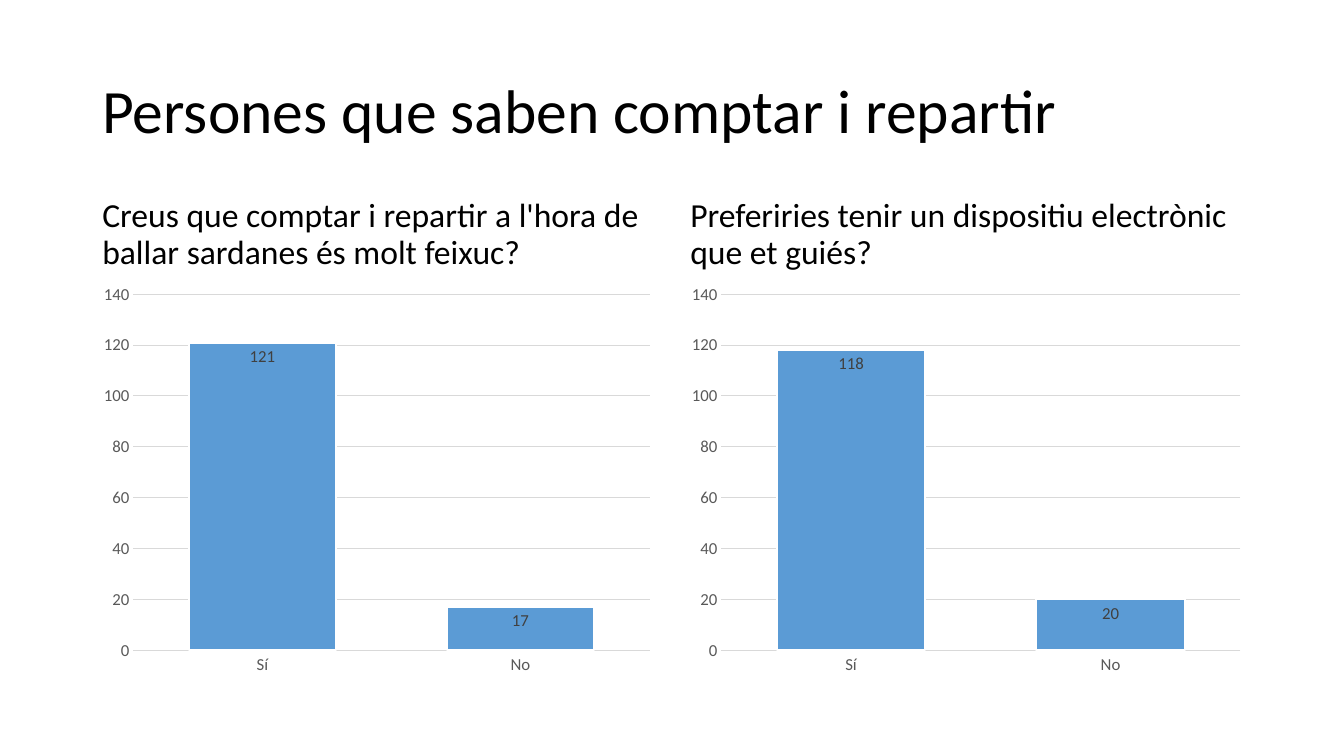
import pptx
import pptx.chart.data
import pptx.dml.color
import pptx.enum.chart
import pptx.enum.text
import pptx.util

Pt = pptx.util.Pt
RGBColor = pptx.dml.color.RGBColor
Anchor = pptx.enum.text.MSO_ANCHOR

BLACK = RGBColor(0x00, 0x00, 0x00)
WHITE = RGBColor(0xFF, 0xFF, 0xFF)
BAR_BLUE = RGBColor(0x5B, 0x9B, 0xD5)
AXIS_GREY = RGBColor(0x59, 0x59, 0x59)
LABEL_GREY = RGBColor(0x40, 0x40, 0x40)
GRID_GREY = RGBColor(0xD9, 0xD9, 0xD9)

LEFT = 66
TITLE_TOP, TITLE_HEIGHT = 28.75, 104.4
QUESTION_TOP, QUESTION_HEIGHT = 132.4, 64.9
CHART_TOP, CHART_HEIGHT = 197.25, 290.15

ANSWERS = ["Sí", "No"]
SURVEY = [
    (LEFT, 406.1, "Creus que comptar i repartir a l'hora de ballar sardanes és molt feixuc?", [121, 17]),
    (486, 408.1, "Preferiries tenir un dispositiu electrònic que et guiés?", [118, 20]),
]


class SurveySlide:
    font_name = "Calibri"

    def __init__(self, presentation):
        self.slide = presentation.slides.add_slide(presentation.slide_layouts[6])

    def style_font(self, font, size, color):
        font.name = self.font_name
        font.size = Pt(size)
        font.color.rgb = color

    def text(self, wording, left, top, width, height, size=24, color=BLACK,
             anchor=Anchor.BOTTOM, space_before=0):
        box = self.slide.shapes.add_textbox(Pt(left), Pt(top), Pt(width), Pt(height))
        frame = box.text_frame
        frame.word_wrap = True
        frame.vertical_anchor = anchor
        paragraph = frame.paragraphs[0]
        paragraph.line_spacing = 0.9
        paragraph.space_before = Pt(space_before)
        run = paragraph.add_run()
        run.text = wording
        self.style_font(run.font, size, color)

    def style_line(self, line, color, width):
        line.color.rgb = color
        line.width = Pt(width)

    def style_axes(self, chart):
        for axis in (chart.category_axis, chart.value_axis):
            axis.major_tick_mark = pptx.enum.chart.XL_TICK_MARK.NONE
            axis.minor_tick_mark = pptx.enum.chart.XL_TICK_MARK.NONE
            self.style_font(axis.tick_labels.font, 12, AXIS_GREY)
        self.style_line(chart.category_axis.format.line, GRID_GREY, 0.75)
        counts = chart.value_axis
        counts.minimum_scale = 0
        counts.maximum_scale = 140
        counts.major_unit = 20
        counts.format.line.fill.background()
        self.style_line(counts.major_gridlines.format.line, GRID_GREY, 0.75)

    def column_chart(self, values, left, top, width, height):
        answers = pptx.chart.data.CategoryChartData()
        answers.categories = ANSWERS
        answers.add_series("Series 1", values)
        chart = self.slide.shapes.add_chart(
            pptx.enum.chart.XL_CHART_TYPE.COLUMN_CLUSTERED,
            Pt(left), Pt(top), Pt(width), Pt(height), answers).chart
        chart.has_legend = False
        chart.has_title = False
        self.style_font(chart.font, 10, BLACK)
        self.style_axes(chart)

        plot = chart.plots[0]
        plot.vary_by_categories = False
        plot.gap_width = 75
        plot.overlap = 40
        bars = plot.series[0]
        bars.format.fill.solid()
        bars.format.fill.fore_color.rgb = BAR_BLUE
        self.style_line(bars.format.line, WHITE, 1.5)
        labels = bars.data_labels
        labels.show_value = True
        labels.position = pptx.enum.chart.XL_LABEL_POSITION.INSIDE_END
        self.style_font(labels.font, 12, LABEL_GREY)


def main():
    presentation = pptx.Presentation()
    presentation.slide_width = Pt(960)
    presentation.slide_height = Pt(540)
    survey = SurveySlide(presentation)
    survey.text("Persones que saben comptar i repartir", LEFT, TITLE_TOP, 828,
                TITLE_HEIGHT, size=44, anchor=Anchor.MIDDLE)
    for left, width, question, counts in SURVEY:
        survey.text(question, left, QUESTION_TOP, width, QUESTION_HEIGHT, space_before=10)
        survey.column_chart(counts, left, CHART_TOP, width, CHART_HEIGHT)
    presentation.save("out.pptx")


if __name__ == "__main__":
    main()
